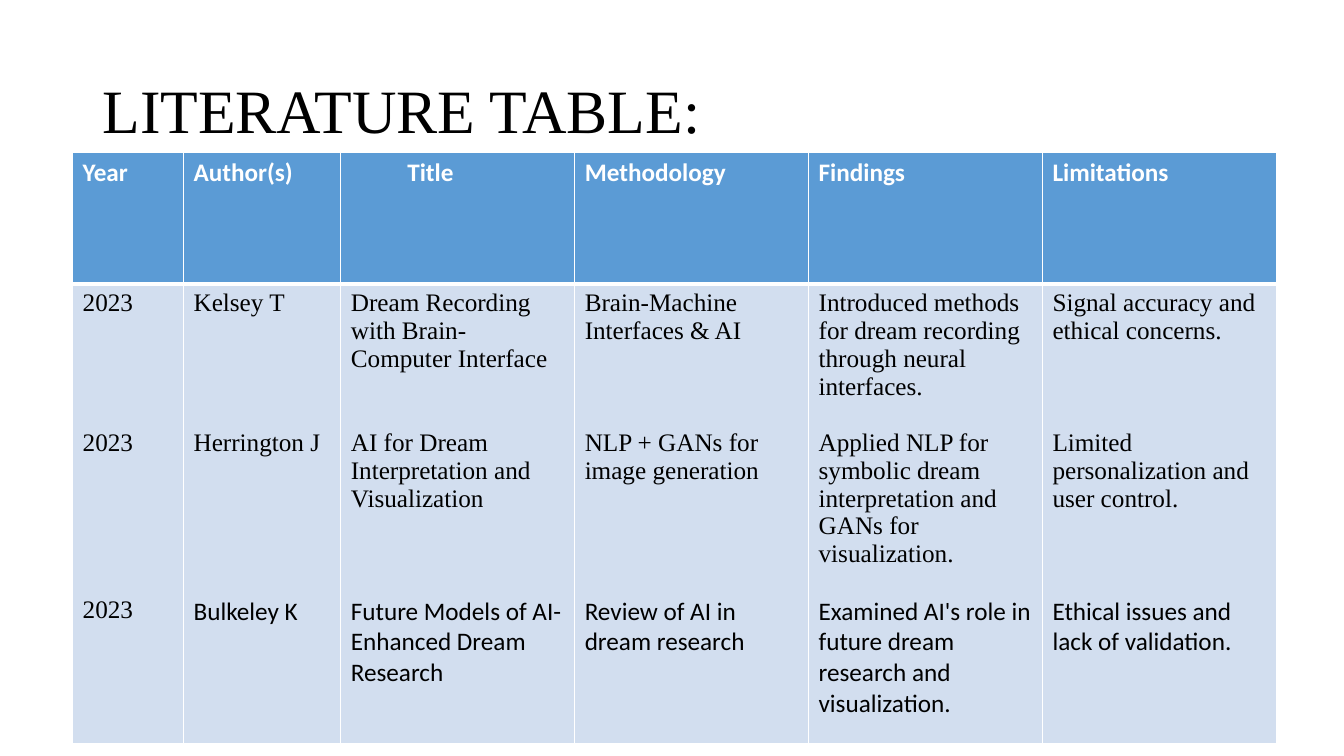
from lxml import etree
from pptx import Presentation
from pptx.dml.color import RGBColor
from pptx.enum.text import MSO_ANCHOR
from pptx.oxml.ns import qn
from pptx.util import Inches, Pt

MIDDLE = MSO_ANCHOR.MIDDLE
COLORS = {"text": "000000", "header": "5B9BD5", "body": "D2DEEF", "line": "FFFFFF"}
SERIF, SANS = "Times New Roman", "Calibri"
BODY_SIZE = 18
SERIF_LINE = 19.93
ENTRY_LINES = (5, 6)
COLUMN_WIDTHS = (1.1, 1.56, 2.32, 2.32, 2.32, 2.32)
HEADER_HEIGHT, BODY_HEIGHT = 1.31, 4.37

COLUMNS = [
    ("Year", ("2023", "2023", "2023"), (1, 1), SERIF),
    ("Author(s)", ("Kelsey T", "Herrington J", "Bulkeley K"), (1, 1), SANS),
    ("Title", ("Dream Recording with Brain-Computer Interface",
               "AI for Dream Interpretation and Visualization",
               "Future Models of AI-Enhanced Dream Research"), (3, 3), SANS),
    ("Methodology", ("Brain-Machine Interfaces & AI",
                     "NLP + GANs for image generation",
                     "Review of AI in dream research"), (2, 2), SANS),
    ("Findings", ("Introduced methods for dream recording through neural interfaces.",
                  "Applied NLP for symbolic dream interpretation and GANs for visualization.",
                  "Examined AI's role in future dream research and visualization."), (4, 5), SANS),
    ("Limitations", ("Signal accuracy and ethical concerns.",
                     "Limited personalization and user control.",
                     "Ethical issues and lack of validation."), (2, 3), SANS),
]


class LiteratureSlide:
    def __init__(self, slide):
        self.slide = slide

    def format_paragraph(self, paragraph, font_name, size, color, bold=False):
        for run in paragraph.runs:
            run.font.name = font_name
            run.font.size = Pt(size)
            run.font.bold = bold
            run.font.color.rgb = RGBColor.from_string(COLORS[color])

    def title(self, text, left, top, width, height):
        box = self.slide.shapes.add_textbox(Inches(left), Inches(top), Inches(width), Inches(height))
        frame = box.text_frame
        frame.word_wrap = True
        frame.vertical_anchor = MIDDLE
        frame.text = text
        frame.paragraphs[0].line_spacing = 0.9
        self.format_paragraph(frame.paragraphs[0], SERIF, 44, "text")

    def style_cell(self, cell, fill, top, bottom):
        properties = cell._tc.get_or_add_tcPr()
        for side, width in (("L", 1), ("R", 1), ("T", top), ("B", bottom)):
            line = etree.SubElement(properties, qn(f"a:ln{side}"), w=str(Pt(width)))
            solid = etree.SubElement(line, qn("a:solidFill"))
            etree.SubElement(solid, qn("a:srgbClr"), val=COLORS["line"])
        cell.fill.solid()
        cell.fill.fore_color.rgb = RGBColor.from_string(COLORS[fill])

    def header_cell(self, cell, heading):
        self.style_cell(cell, "header", 1, 3)
        cell.text_frame.text = heading
        self.format_paragraph(cell.text_frame.paragraphs[0], SANS, BODY_SIZE, "line", True)

    def body_cell(self, cell, entries, line_counts, last_font):
        self.style_cell(cell, "body", 3, 1)
        cell.text_frame.text = "\n".join(entries)
        paragraphs = cell.text_frame.paragraphs
        for paragraph, font_name in zip(paragraphs, (SERIF, SERIF, last_font)):
            self.format_paragraph(paragraph, font_name, BODY_SIZE, "text")
        for paragraph, slot, used in zip(paragraphs[1:], ENTRY_LINES, line_counts):
            paragraph.space_before = Pt((slot - used) * SERIF_LINE)

    def literature_table(self, left, top):
        table = self.slide.shapes.add_table(
            2, len(COLUMNS), Inches(left), Inches(top),
            Inches(sum(COLUMN_WIDTHS)), Inches(HEADER_HEIGHT + BODY_HEIGHT)).table
        table.first_row = False
        table.horz_banding = False
        table.rows[0].height = Inches(HEADER_HEIGHT)
        table.rows[1].height = Inches(BODY_HEIGHT)
        for index, (heading, entries, line_counts, last_font) in enumerate(COLUMNS):
            table.columns[index].width = Inches(COLUMN_WIDTHS[index])
            self.header_cell(table.cell(0, index), heading)
            self.body_cell(table.cell(1, index), entries, line_counts, last_font)
            if heading == "Title":
                table.cell(0, index).margin_left = Inches(0.66)


def main():
    presentation = Presentation()
    presentation.slide_width = Inches(13.33)
    presentation.slide_height = Inches(7.5)
    page = LiteratureSlide(presentation.slides.add_slide(presentation.slide_layouts[6]))
    page.title("LITERATURE TABLE:", 0.92, 0.4, 11.5, 1.45)
    page.literature_table(0.72, 1.51)
    presentation.save("out.pptx")


if __name__ == "__main__":
    main()
